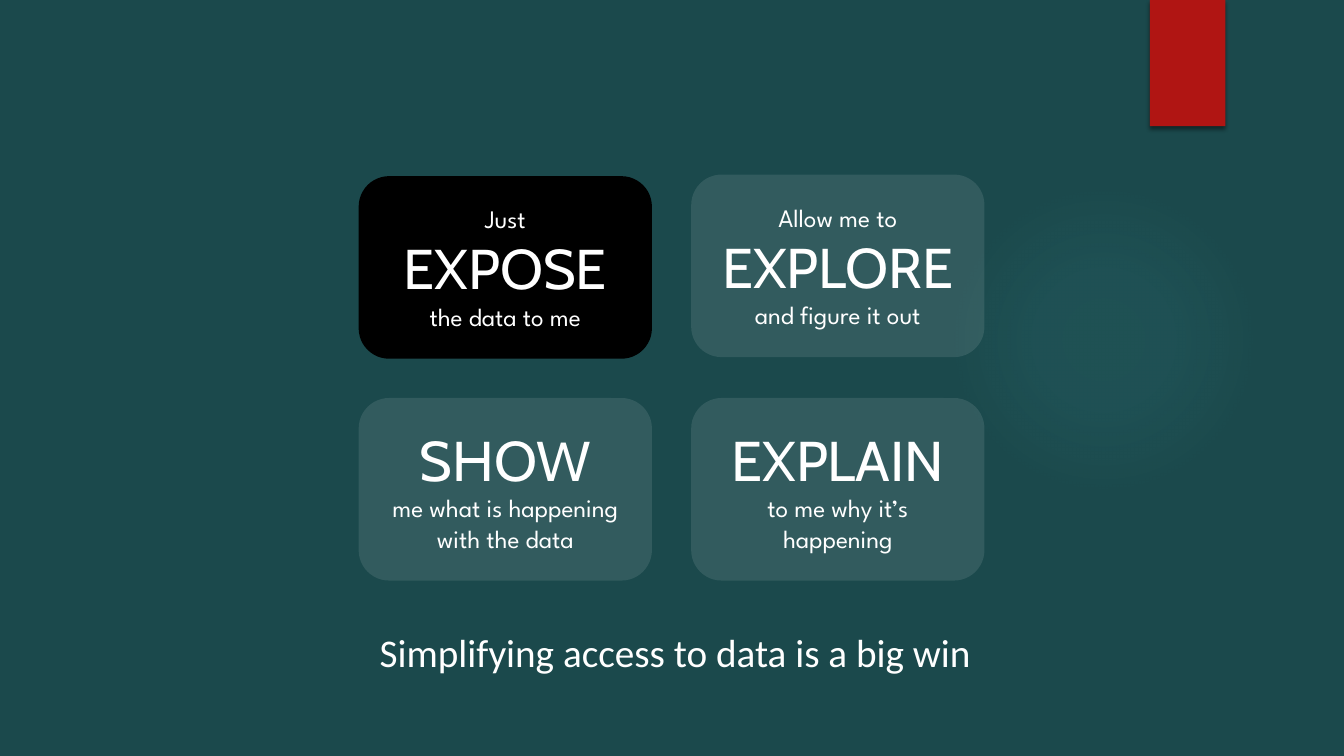
from lxml import etree
from pptx import Presentation
from pptx import util as u
from pptx.dml.color import RGBColor
from pptx.enum import shapes, text
from pptx.oxml import ns, parse_xml

WHITE = "FFFFFF"
SMALL = ("League Spartan", 18)
LARGE = ("Cabin", 40)


def color(target, code):
    if hasattr(target, "solid"):
        target.solid()
        target.fore_color.rgb = RGBColor.from_string(code)
    else:
        target.color.rgb = RGBColor.from_string(code)


def block(kind, left, top, width, height, code):
    shape = slide.shapes.add_shape(
        kind, u.Cm(left), u.Cm(top), u.Cm(width), u.Cm(height))
    shape.shadow.inherit = False
    shape.line.fill.background()
    color(shape.fill, code)
    return shape


deck = Presentation()
deck.slide_width = u.Cm(33.87)
deck.slide_height = u.Cm(19.05)
slide = deck.slides.add_slide(deck.slide_layouts[5])
color(slide.background.fill, "1B494C")

glow = block(shapes.MSO_SHAPE.OVAL, 23.9, 4.65, 7.82, 7.82, "50B9C1")
stops = "".join(
    f'<a:gs pos="{pos * 1000}"><a:srgbClr val="50B9C1">'
    f'<a:alpha val="{alpha * 1000}"/></a:srgbClr></a:gs>'
    for pos, alpha in [(0, 7), (36, 6), (69, 0), (100, 0)])
props = glow._element.spPr
props.replace(props.find(ns.qn("a:solidFill")), parse_xml(
    f'<a:gradFill {ns.nsdecls("a")}><a:gsLst>{stops}</a:gsLst>'
    '<a:path path="circle"><a:fillToRect l="50000" t="50000" '
    'r="50000" b="50000"/></a:path></a:gradFill>'))

flag = block(shapes.MSO_SHAPE.RECTANGLE, 28.98, 0, 1.9, 3.18, "B01513")
flag._element.spPr.find(ns.qn("a:effectLst")).append(parse_xml(
    f'<a:outerShdw {ns.nsdecls("a")} blurRad="{u.Pt(3)}" dist="{u.Pt(2)}" '
    'dir="5400000" rotWithShape="0"><a:srgbClr val="000000">'
    '<a:alpha val="45000"/></a:srgbClr></a:outerShdw>'))

cards = [
    (9.04, 10.03, WHITE, [("SHOW", LARGE),
                          ("me what is happening with the data", SMALL)]),
    (17.42, 10.03, WHITE, [("EXPLAIN", LARGE),
                           ("to me why it’s happening", SMALL)]),
    (17.42, 4.4, WHITE, [("Allow me to", SMALL), ("EXPLORE", LARGE),
                         ("and figure it out", SMALL)]),
    (9.04, 4.44, "000000", [("Just", SMALL), ("EXPOSE", LARGE),
                            ("the data to me", SMALL)]),
]
frames = []
for left, top, code, lines in cards:
    card = block(shapes.MSO_SHAPE.ROUNDED_RECTANGLE, left, top, 7.39, 4.6, code)
    if code == WHITE:
        tint = card._element.spPr.find(".//" + ns.qn("a:srgbClr"))
        etree.SubElement(tint, ns.qn("a:alpha"), val="10000")
    frames.append((card.text_frame, lines))

title = slide.shapes.title
title.left, title.top = u.Cm(7.37), u.Cm(15.7)
title.width, title.height = u.Cm(19.28), u.Cm(1.45)
frames.append((title.text_frame, [
    ("Simplifying access to data is a big win", ("Calibri", 28))]))

for frame, lines in frames:
    frame.word_wrap = True
    frame.auto_size = text.MSO_AUTO_SIZE.NONE
    frame.vertical_anchor = text.MSO_ANCHOR.MIDDLE
    for row, (words, (face, size)) in enumerate(lines):
        para = frame.add_paragraph() if row else frame.paragraphs[0]
        para.alignment = text.PP_ALIGN.CENTER
        run = para.add_run()
        run.text = words
        run.font.name = face
        run.font.size = u.Pt(size)
        color(run.font, WHITE)

deck.save("out.pptx")
